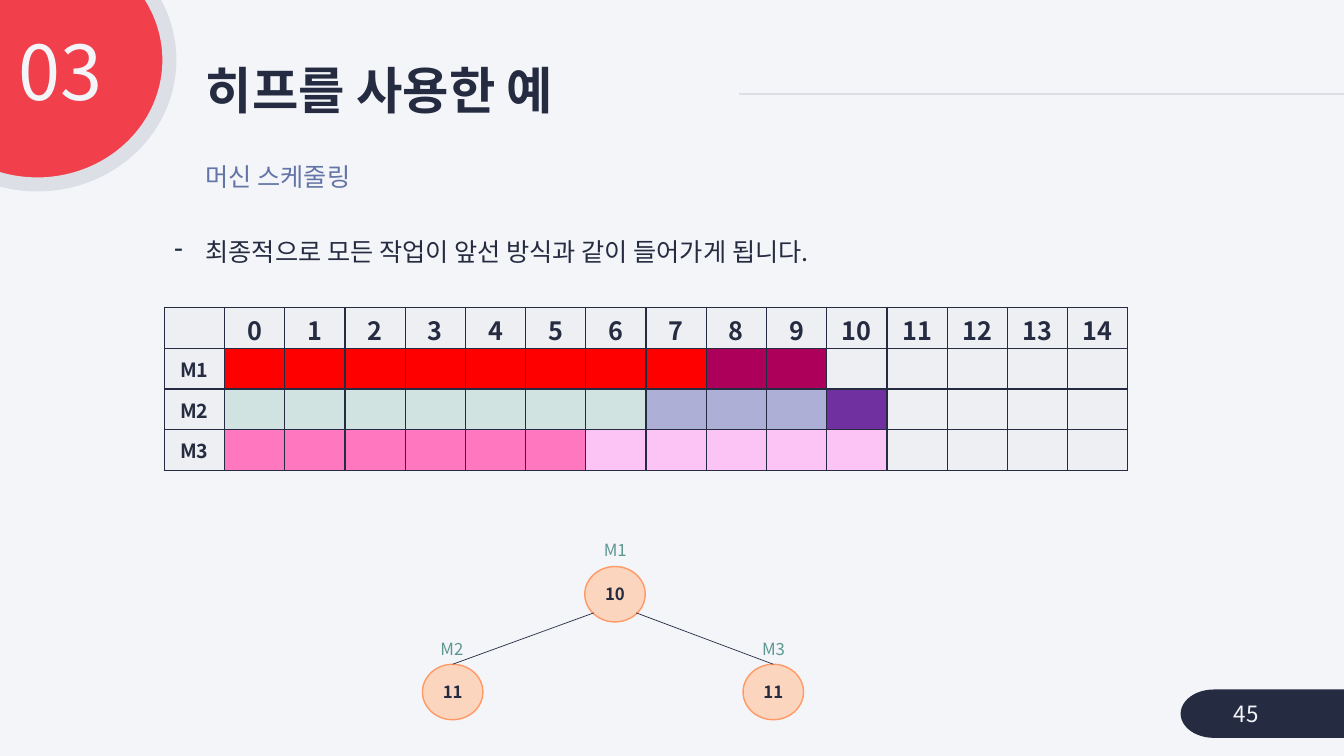
from lxml import etree
from pptx import Presentation
from pptx.dml.color import RGBColor
from pptx.enum.shapes import MSO_CONNECTOR, MSO_SHAPE
from pptx.enum.text import MSO_ANCHOR, PP_ALIGN
from pptx.oxml.ns import qn
from pptx.util import Pt

PX = 9144  # 100 px to the inch
FONT = "Noto Sans CJK KR"
NAVY, PALE, GREY, EMPTY = "252C41", "F4F5F9", "DDDFE6", "EEEFF3"
LEFT, CENTER, RIGHT = PP_ALIGN.LEFT, PP_ALIGN.CENTER, PP_ALIGN.RIGHT
TOP, MIDDLE = MSO_ANCHOR.TOP, MSO_ANCHOR.MIDDLE
ELLIPSE, TERMINATOR = MSO_SHAPE.OVAL, MSO_SHAPE.FLOWCHART_TERMINATOR
STRAIGHT = MSO_CONNECTOR.STRAIGHT


def paint(color_format, color):
    """Make a fill or a line's fill solid in one hex colour."""
    color_format.solid()
    color_format.fore_color.rgb = RGBColor.from_string(color)


def write(frame, text, size=18, color=NAVY, bold=False, align=LEFT, anchor=TOP,
          wrap=True, spacing=None, bullet=None):
    frame.word_wrap = wrap
    frame.vertical_anchor = anchor
    paragraph = frame.paragraphs[0]
    paragraph.alignment = align
    paragraph.line_spacing = spacing
    if bullet:
        properties = paragraph._p.get_or_add_pPr()
        properties.set("marL", str(31 * PX))
        properties.set("indent", str(-31 * PX))
        etree.SubElement(properties, qn("a:buFontTx"))
        etree.SubElement(properties, qn("a:buChar"), char=bullet)
    run = paragraph.add_run()
    run.text = text
    run.font.name = FONT
    run.font.size = Pt(size)
    run.font.bold = bold
    paint(run.font.fill, color)
    etree.SubElement(run._r.get_or_add_rPr(), qn("a:ea"), typeface=FONT)


presentation = Presentation()
presentation.slide_width, presentation.slide_height = 1333 * PX, 750 * PX
slide = presentation.slides.add_slide(presentation.slide_layouts[5])
shapes = slide.shapes
paint(slide.background.fill, PALE)

# Header rule, corner disc and page tab
header_rule = shapes.add_connector(STRAIGHT, 733 * PX, 93 * PX, 1333 * PX, 93 * PX)
paint(header_rule.line.fill, GREY)
header_rule.line.width = Pt(1.5)
etree.SubElement(header_rule._element.spPr, qn("a:effectLst"))

disc = shapes.add_shape(ELLIPSE, -94 * PX, -64 * PX, 262 * PX, 247 * PX)
disc.shadow.inherit = False
paint(disc.fill, "F1404B")
paint(disc.line.fill, GREY)
disc.line.width = Pt(10)

page_tab = shapes.add_shape(TERMINATOR, 1171 * PX, 684 * PX, 205 * PX, 48 * PX)
page_tab.shadow.inherit = False
paint(page_tab.fill, NAVY)
page_tab.line.fill.background()

# Title
title = shapes.title
title.left, title.top, title.width, title.height = 194 * PX, 59 * PX, 622 * PX, 67 * PX
write(title.text_frame, "히프를 사용한 예", size=36, bold=True, anchor=MIDDLE, spacing=0.9)

# Text boxes and machine labels
label = dict(size=12, color="5D9792", wrap=False)
texts = [
    (-11, 29, 122, 92, "03", dict(size=54, color=PALE, align=RIGHT, anchor=MIDDLE, spacing=0.9)),
    (1214, 688, 109, 40, "45", dict(size=16, color=PALE, anchor=MIDDLE)),
    (194, 155, 181, 40, "머신 스케줄링", dict(color="6374A6")),
    (163, 230, 698, 40, "최종적으로 모든 작업이 앞선 방식과 같이 들어가게 됩니다.", dict(bullet="-")),
    (589, 531, 43, 30, "M1", label),
    (427, 629, 43, 30, "M2", label),
    (746, 629, 43, 30, "M3", label),
]
for left, top, width, height, text, style in texts:
    box = shapes.add_textbox(left * PX, top * PX, width * PX, height * PX)
    write(box.text_frame, text, **style)

# Schedule: each machine's jobs as (colour, time slots)
SLOTS = 15
schedule = {
    "M1": [("FF0000", 8), ("AC005A", 2)],
    "M2": [("D1E3E1", 7), ("AEAFD7", 3), ("7030A0", 1)],
    "M3": [("FF78BF", 6), ("FCC4F4", 5)],
}
rows = [([""] + [str(slot) for slot in range(SLOTS)], [EMPTY] * (SLOTS + 1), 18)]
for machine, jobs in schedule.items():
    fills = [EMPTY] + [color for color, slots in jobs for _ in range(slots)]
    fills += [EMPTY] * (SLOTS + 1 - len(fills))
    rows.append(([machine] + [""] * SLOTS, fills, 14))

table = shapes.add_table(len(rows), SLOTS + 1, 163 * PX, 305 * PX, 956 * PX, 162 * PX).table
for column in table.columns:
    column.width = 956 * PX // (SLOTS + 1)
for row, (labels, fills, size) in zip(table.rows, rows):
    row.height = 162 * PX // len(rows)
    for cell, text, fill in zip(row.cells, labels, fills):
        cell.margin_top = 4 * PX if size == 18 else 0
        cell.margin_bottom = 0
        cell.vertical_anchor = MIDDLE
        if text:
            write(cell.text_frame, text, size=size, bold=True, align=CENTER)
        else:
            cell.text_frame.paragraphs[0].font.size = Pt(14)
        properties = cell._tc.get_or_add_tcPr()
        for side in ("a:lnL", "a:lnR", "a:lnT", "a:lnB"):
            border = etree.SubElement(properties, qn(side), w=str(Pt(1)))
            solid = etree.SubElement(border, qn("a:solidFill"))
            etree.SubElement(solid, qn("a:srgbClr"), val=NAVY)
        paint(cell.fill, fill)

# Heap nodes
nodes = []
for left, top, value in [(580, 562, "10"), (419, 659, "11"), (737, 659, "11")]:
    node = shapes.add_shape(ELLIPSE, left * PX, top * PX, 60 * PX, 55 * PX)
    node.shadow.inherit = False
    paint(node.fill, "FBD5BD")
    paint(node.line.fill, "FF9966")
    node.line.width = Pt(1)
    write(node.text_frame, value, size=12, bold=True, align=CENTER, anchor=MIDDLE, wrap=False)
    nodes.append(node)

# Heap edges, from the root's lower flanks to the top of each child
for start, child in zip((589, 631), nodes[1:]):
    edge = shapes.add_connector(STRAIGHT, start * PX, 608 * PX, start * PX, 659 * PX)
    edge.end_connect(child, 0)
    paint(edge.line.fill, NAVY)
    edge.line.width = Pt(0.5)
    etree.SubElement(edge._element.spPr, qn("a:effectLst"))

presentation.save("out.pptx")
